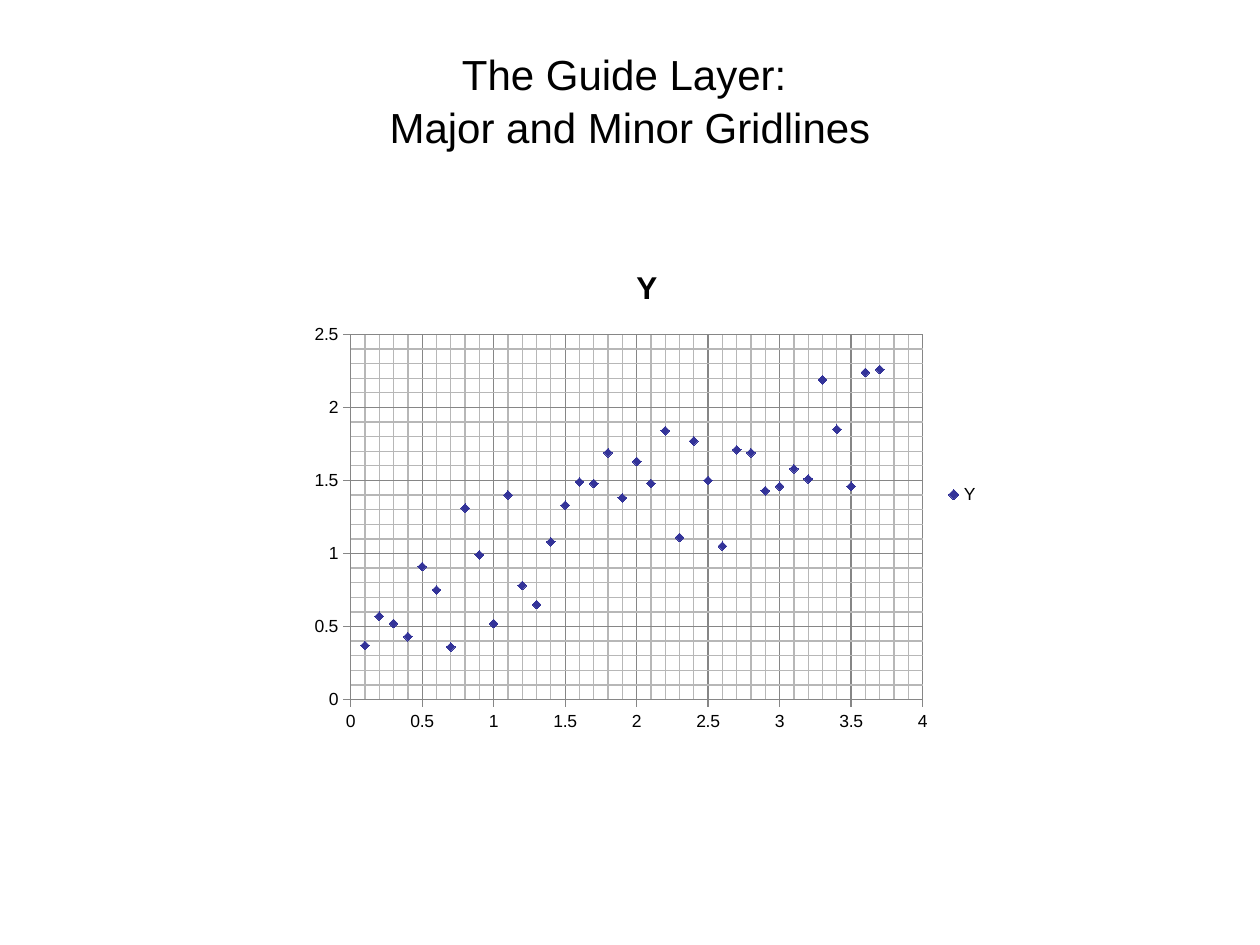
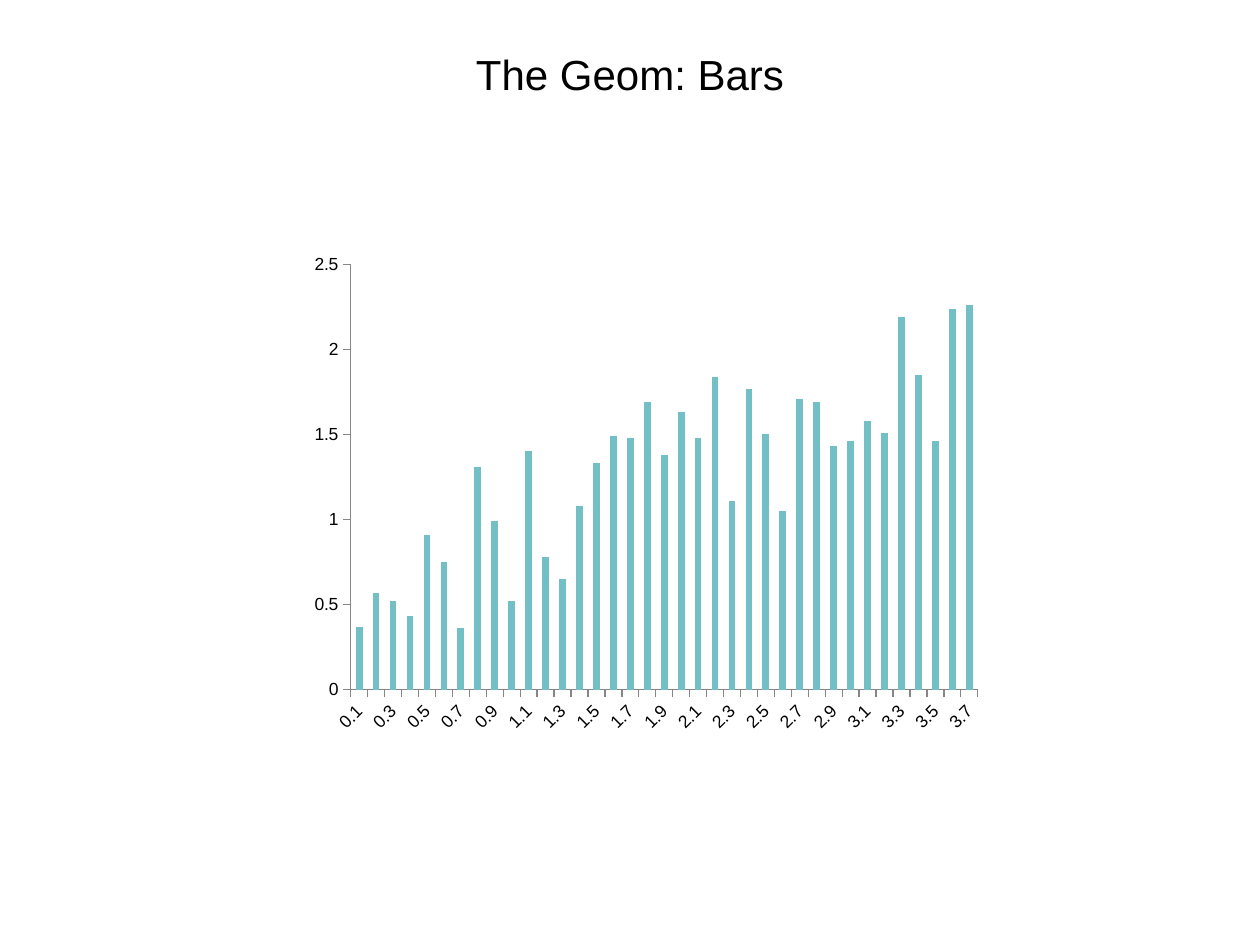
from lxml import etree
from pptx import Presentation
from pptx.chart.data import CategoryChartData, XyChartData
from pptx.dml.color import RGBColor
from pptx.enum.chart import (XL_CHART_TYPE, XL_LEGEND_POSITION, XL_MARKER_STYLE,
                             XL_TICK_MARK)
from pptx.enum.text import MSO_ANCHOR, PP_ALIGN
from pptx.oxml.ns import qn
from pptx.util import Inches, Pt

SCATTER, COLUMNS = XL_CHART_TYPE.XY_SCATTER, XL_CHART_TYPE.COLUMN_CLUSTERED
LEGEND_RIGHT = XL_LEGEND_POSITION.RIGHT
DIAMOND = XL_MARKER_STYLE.DIAMOND
TICK_OUTSIDE, TICK_NONE = XL_TICK_MARK.OUTSIDE, XL_TICK_MARK.NONE
CENTER, TOP = PP_ALIGN.CENTER, MSO_ANCHOR.TOP

# Content
GRID_TITLE = "The Guide Layer: \vMajor and Minor Gridlines"
BARS_TITLE = "The Geom: Bars"
Y_VALUES = [
    0.37, 0.57, 0.52, 0.43, 0.91, 0.75, 0.36, 1.31, 0.99, 0.52,
    1.4, 0.78, 0.65, 1.08, 1.33, 1.49, 1.48, 1.69, 1.38, 1.63,
    1.48, 1.84, 1.11, 1.77, 1.5, 1.05, 1.71, 1.69, 1.43, 1.46,
    1.58, 1.51, 2.19, 1.85, 1.46, 2.24, 2.26,
]
X_VALUES = [step / 10 for step in range(1, len(Y_VALUES) + 1)]

# Shared style
FONT = "Arial"
BLACK, AXIS_GRAY, MINOR_GRAY = "000000", "868686", "B7B7B7"
POINT_BLUE, BAR_TEAL = "333399", "72BFC5"
LINE_WIDTH = Pt(0.75)
TITLE_AREA = [Inches(v) for v in (0.5, 0.3, 9, 1.25)]
CHART_AREA = [Inches(v) for v in (2.4, 1.94, 5.47, 3.97)]
# Plot areas as shares of the chart: left, top, width, height
GRID_PLOT = {"x": 0.07, "y": 0.18, "w": 0.83, "h": 0.73}
BARS_PLOT = {"x": 0.07, "y": 0.04, "w": 0.91, "h": 0.85}


def rgb(color):
    return RGBColor.from_string(color)


def set_all(target, **values):
    for name, value in values.items():
        setattr(target, name, value)


def style_font(font, size, bold=False):
    set_all(font, name=FONT, size=Pt(size), bold=bold)
    font.color.rgb = rgb(BLACK)


def style_line(line, color):
    line.color.rgb = rgb(color)
    line.width = LINE_WIDTH


def style_minor_gridlines(axis, color):
    gridlines = axis._element.find(qn("c:minorGridlines"))
    properties = etree.SubElement(gridlines, qn("c:spPr"))
    line = etree.SubElement(properties, qn("a:ln"), w=str(int(LINE_WIDTH)))
    fill = etree.SubElement(line, qn("a:solidFill"))
    etree.SubElement(fill, qn("a:srgbClr"), val=color)


def add_titled_slide(deck, title):
    slide = deck.slides.add_slide(deck.slide_layouts[6])
    frame = slide.shapes.add_textbox(*TITLE_AREA).text_frame
    set_all(frame, word_wrap=True, vertical_anchor=TOP, margin_top=Inches(0.07))
    paragraph = frame.paragraphs[0]
    paragraph.text = title
    set_all(paragraph, alignment=CENTER, line_spacing=1.04)
    for run in paragraph.runs:
        style_font(run.font, 24)
    style_font(paragraph.font, 24)
    return slide


def place_plot(chart, shares):
    plot_area = chart._chartSpace.chart.plotArea
    for old in plot_area.findall(qn("c:layout")):
        plot_area.remove(old)
    layout = etree.Element(qn("c:layout"))
    manual = etree.SubElement(layout, qn("c:manualLayout"))
    settings = {"layoutTarget": "inner", "xMode": "edge", "yMode": "edge", **shares}
    for tag, value in settings.items():
        etree.SubElement(manual, qn(f"c:{tag}"), val=str(value))
    plot_area.insert(0, layout)


def add_styled_chart(slide, kind, data, plot_shares):
    chart = slide.shapes.add_chart(kind, *CHART_AREA, data).chart
    style_font(chart.font, 10)
    chart.plots[0].vary_by_categories = False
    for axis in (chart.category_axis, chart.value_axis):
        set_all(axis, major_tick_mark=TICK_OUTSIDE, minor_tick_mark=TICK_NONE,
                has_major_gridlines=False, has_minor_gridlines=False)
        set_all(axis.tick_labels, number_format="General",
                number_format_is_linked=False)
        style_font(axis.tick_labels.font, 10)
        style_line(axis.format.line, AXIS_GRAY)
    set_all(chart.value_axis, minimum_scale=0, maximum_scale=2.5, major_unit=0.5)
    place_plot(chart, plot_shares)
    return chart


def build_gridlines_slide(deck):
    data = XyChartData()
    points = data.add_series("Y")
    for x, y in zip(X_VALUES, Y_VALUES):
        points.add_data_point(x, y)
    slide = add_titled_slide(deck, GRID_TITLE)
    chart = add_styled_chart(slide, SCATTER, data, GRID_PLOT)

    # Title and legend
    chart.has_title = True
    heading = chart.chart_title.text_frame
    heading.text = "Y"
    style_font(heading.paragraphs[0].runs[0].font, 18, bold=True)
    chart.has_legend = True
    set_all(chart.legend, position=LEGEND_RIGHT, include_in_layout=False)

    # Axes with major and minor gridlines
    set_all(chart.category_axis, minimum_scale=0, maximum_scale=4, major_unit=0.5)
    for axis in (chart.category_axis, chart.value_axis):
        set_all(axis, has_major_gridlines=True, has_minor_gridlines=True,
                minor_unit=0.1)
        style_line(axis.major_gridlines.format.line, AXIS_GRAY)
        style_minor_gridlines(axis, MINOR_GRAY)

    # Points
    series = chart.plots[0].series[0]
    series.smooth = False
    series.format.line.fill.background()
    set_all(series.marker, style=DIAMOND, size=5)
    series.marker.format.fill.solid()
    series.marker.format.fill.fore_color.rgb = rgb(POINT_BLUE)
    style_line(series.marker.format.line, POINT_BLUE)


def build_bars_slide(deck):
    data = CategoryChartData()
    data.categories = [f"{x:g}" for x in X_VALUES]
    data.add_series("Series 1", Y_VALUES)
    slide = add_titled_slide(deck, BARS_TITLE)
    chart = add_styled_chart(slide, COLUMNS, data, BARS_PLOT)
    set_all(chart, has_title=False, has_legend=False)

    # Bars
    plot = chart.plots[0]
    plot.gap_width = 150
    fill = plot.series[0].format.fill
    fill.solid()
    fill.fore_color.rgb = rgb(BAR_TEAL)

    # Slanted labels under every second bar
    axis_xml = chart.category_axis._element
    axis_xml.find(qn("c:txPr")).find(qn("a:bodyPr")).set("rot", "-2700000")
    skip = etree.Element(qn("c:tickLblSkip"), val="2")
    axis_xml.find(qn("c:noMultiLvlLbl")).addprevious(skip)


def main():
    deck = Presentation()
    set_all(deck, slide_width=Inches(10), slide_height=Inches(7.5))
    build_gridlines_slide(deck)
    build_bars_slide(deck)
    deck.save("out.pptx")


if __name__ == "__main__":
    main()
